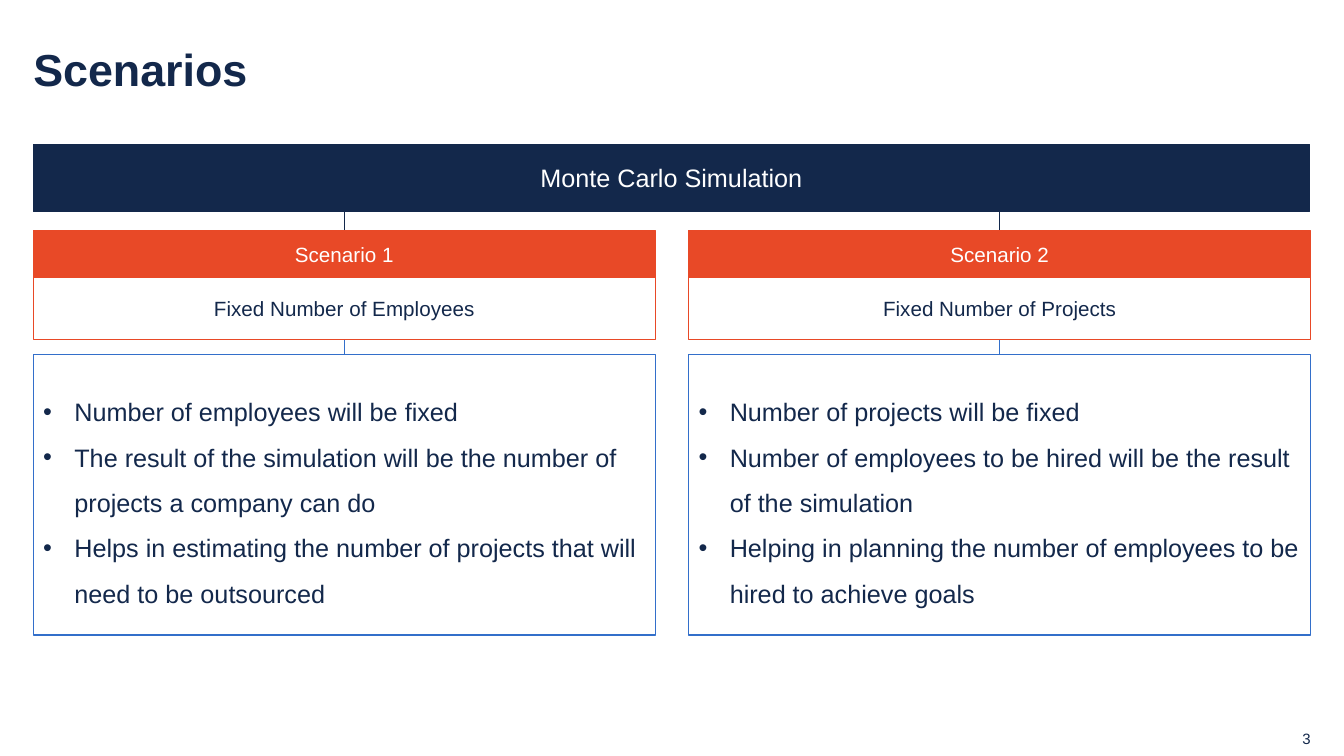
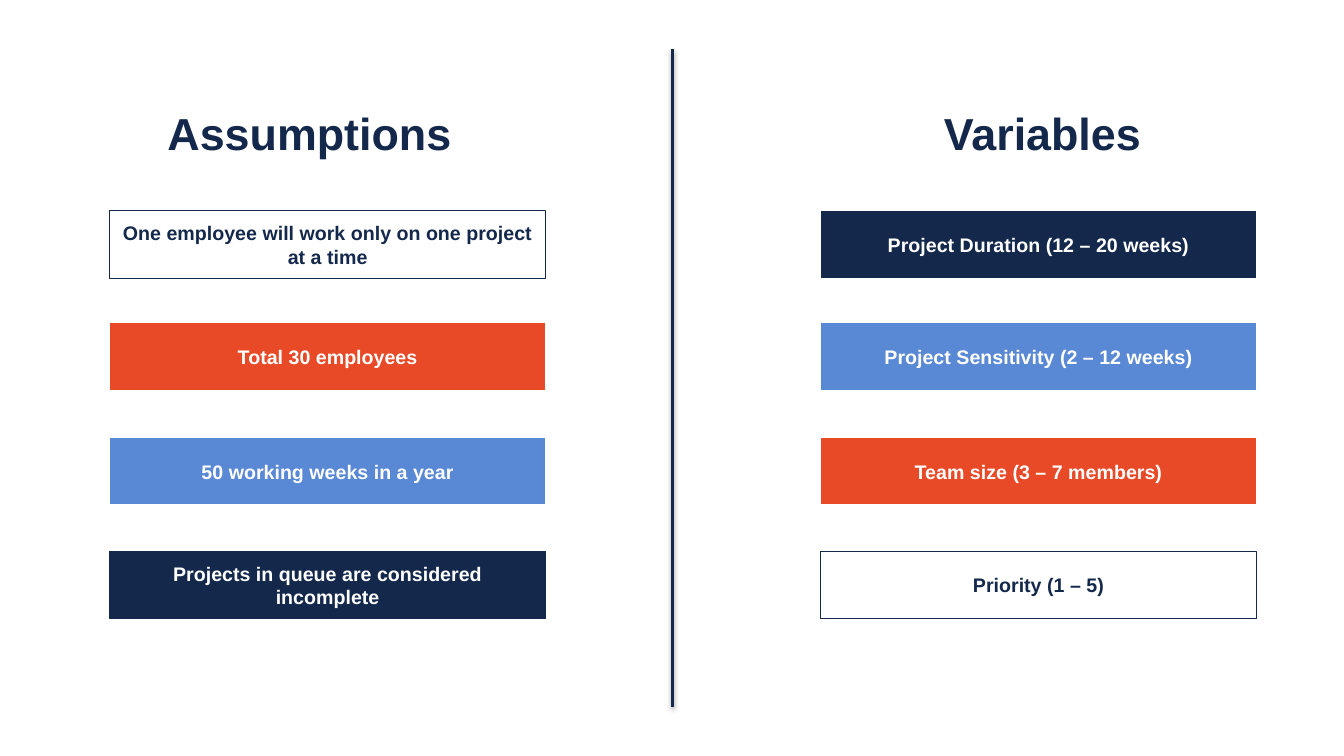
"""Build the scenarios slide and the assumptions and variables slide."""
from lxml import etree
from pptx import Presentation, util as u
from pptx.dml.color import RGBColor
from pptx.enum import shapes, text
from pptx.oxml import ns

FONT = "Arial"
NAVY, ORANGE, BLUE, EDGE_BLUE, WHITE = "13284B", "E84927", "5988D5", "336FCA", "FFFFFF"
MARGIN = 0.33
TITLE_WIDTH = 12.67

PAGE_NUMBER = "3"
BANNER = "Monte Carlo Simulation"
SCENARIOS = [
    ("Scenario 1", "Fixed Number of Employees", [
        "Number of employees will be fixed",
        "The result of the simulation will be the number of projects a company can do",
        "Helps in estimating the number of projects that will need to be outsourced",
    ]),
    ("Scenario 2", "Fixed Number of Projects", [
        "Number of projects will be fixed",
        "Number of employees to be hired will be the result of the simulation",
        "Helping in planning the number of employees to be hired to achieve goals",
    ]),
]
SCENARIO_WIDTH, SCENARIO_PITCH = 6.17, 6.5

CARD_TOPS = [2.09, 3.2, 4.34, 5.47]
CARD_WIDTH, CARD_HEIGHT = 4.32, 0.67
CARD_COLUMNS = [
    ("Assumptions", 2.74, 1.09, [
        ("One employee will work only on one project at a time", WHITE, NAVY),
        ("Total 30 employees", ORANGE, WHITE),
        ("50 working weeks in a year", BLUE, WHITE),
        ("Projects in queue are considered incomplete", NAVY, NAVY),
    ]),
    ("Variables", 10.01, 8.14, [
        ("Project Duration (12 – 20 weeks)", NAVY, WHITE),
        ("Project Sensitivity (2 – 12 weeks)", BLUE, WHITE),
        ("Team size (3 – 7 members)", ORANGE, WHITE),
        ("Priority (1 – 5)", WHITE, NAVY),
    ]),
]


def color(value):
    return RGBColor.from_string(value)


def add_element(parent, tag, **attributes):
    return etree.SubElement(parent, ns.qn(tag), attributes)


def format_text(shape, size, font_color, bold=False, align=text.PP_ALIGN.CENTER, spacing=None):
    frame = shape.text_frame
    frame.word_wrap = True
    frame.vertical_anchor = text.MSO_ANCHOR.MIDDLE
    for paragraph in frame.paragraphs:
        paragraph.alignment = align
        if spacing:
            paragraph.line_spacing = spacing
        for run in paragraph.runs:
            run.font.name = FONT
            run.font.size = u.Pt(size)
            run.font.bold = bold
            run.font.color.rgb = color(font_color)


def set_insets(frame, right=0):
    frame.margin_left = frame.margin_top = frame.margin_bottom = 0
    frame.margin_right = u.Inches(right)


def add_title(slide, content, top):
    title = slide.shapes.title
    title.left, title.top = u.Inches(MARGIN), u.Inches(top)
    title.width, title.height = u.Inches(TITLE_WIDTH), u.Inches(0.8)
    frame = title.text_frame
    frame.text = content
    frame.auto_size = text.MSO_AUTO_SIZE.NONE
    set_insets(frame, right=1.2)
    format_text(title, 32, NAVY, bold=True, align=text.PP_ALIGN.LEFT, spacing=0.9)
    return title


def add_box(slide, box, content, fill, line, font_color, size, **style):
    shape = slide.shapes.add_shape(shapes.MSO_SHAPE.RECTANGLE, *map(u.Inches, box))
    shape.shadow.inherit = False
    shape.fill.solid()
    shape.fill.fore_color.rgb = color(fill)
    shape.line.color.rgb = color(line)
    shape.line.width = u.Pt(0.75)
    shape.text_frame.text = content
    format_text(shape, size, font_color, **style)
    return shape


def add_line(slide, x, top, bottom, line_color, width=0.75):
    """Draw a vertical line and return its effect list."""
    line = slide.shapes.add_connector(
        shapes.MSO_CONNECTOR.STRAIGHT, *map(u.Inches, (x, top, x, bottom)))
    line.line.color.rgb = color(line_color)
    line.line.width = u.Pt(width)
    return add_element(line._element.spPr, "a:effectLst")


def add_bullets(shape, indent=0.31):
    for paragraph in shape.text_frame.paragraphs:
        properties = paragraph._p.get_or_add_pPr()
        properties.set("marL", str(u.Inches(indent)))
        properties.set("indent", str(-u.Inches(indent)))
        add_element(properties, "a:buFont", typeface=FONT)
        add_element(properties, "a:buChar", char="•")


def build_scenarios(slide):
    add_title(slide, "Scenarios", 0.31)
    number = slide.shapes.add_textbox(*map(u.Inches, (10, 7.19, 3, 0.27)))
    number.text_frame.text = PAGE_NUMBER
    set_insets(number.text_frame)
    format_text(number, 10.7, NAVY, align=text.PP_ALIGN.RIGHT)
    add_box(slide, (MARGIN, 1.43, 12.66, 0.67), BANNER, NAVY, NAVY, WHITE, 18)
    for index, (heading, summary, points) in enumerate(SCENARIOS):
        left = MARGIN + index * SCENARIO_PITCH
        center = left + SCENARIO_WIDTH / 2
        add_box(slide, (left, 2.75, SCENARIO_WIDTH, 0.62), summary, WHITE, ORANGE, NAVY, 14.7)
        details = add_box(slide, (left, 3.52, SCENARIO_WIDTH, 2.78), "\n".join(points),
                          WHITE, EDGE_BLUE, NAVY, 18, align=text.PP_ALIGN.LEFT, spacing=1.5)
        add_bullets(details)
        add_line(slide, center, 2.1, 2.29, NAVY)
        add_line(slide, center, 3.37, 3.52, EDGE_BLUE)
        add_box(slide, (left, 2.29, SCENARIO_WIDTH, 0.46), heading, ORANGE, ORANGE, WHITE, 14.7)


def build_assumptions(slide):
    headings = "".join("\t" + column[0] for column in CARD_COLUMNS)
    title = add_title(slide, headings, 0.95)
    tabs = add_element(title.text_frame.paragraphs[0]._p.get_or_add_pPr(), "a:tabLst")
    for _, tab_center, left, cards in CARD_COLUMNS:
        add_element(tabs, "a:tab", pos=str(u.Inches(tab_center)), algn="ctr")
        for top, (content, fill, line) in zip(CARD_TOPS, cards):
            font_color = NAVY if fill == WHITE else WHITE
            add_box(slide, (left, top, CARD_WIDTH, CARD_HEIGHT), content,
                    fill, line, font_color, 14, bold=True)
    effects = add_line(slide, 6.67, 0.49, 7.01, NAVY, width=2)
    shadow = add_element(effects, "a:outerShdw", blurRad=str(u.Pt(3.1)), dist=str(u.Pt(1.6)),
                         dir="5400000", rotWithShape="0")
    shade = add_element(shadow, "a:srgbClr", val="000000")
    add_element(shade, "a:alpha", val="38000")


def main():
    presentation = Presentation()
    presentation.slide_width, presentation.slide_height = u.Inches(13.33), u.Inches(7.5)
    title_only = presentation.slide_layouts[5]
    for build in (build_scenarios, build_assumptions):
        build(presentation.slides.add_slide(title_only))
    presentation.save("out.pptx")


if __name__ == "__main__":
    main()
